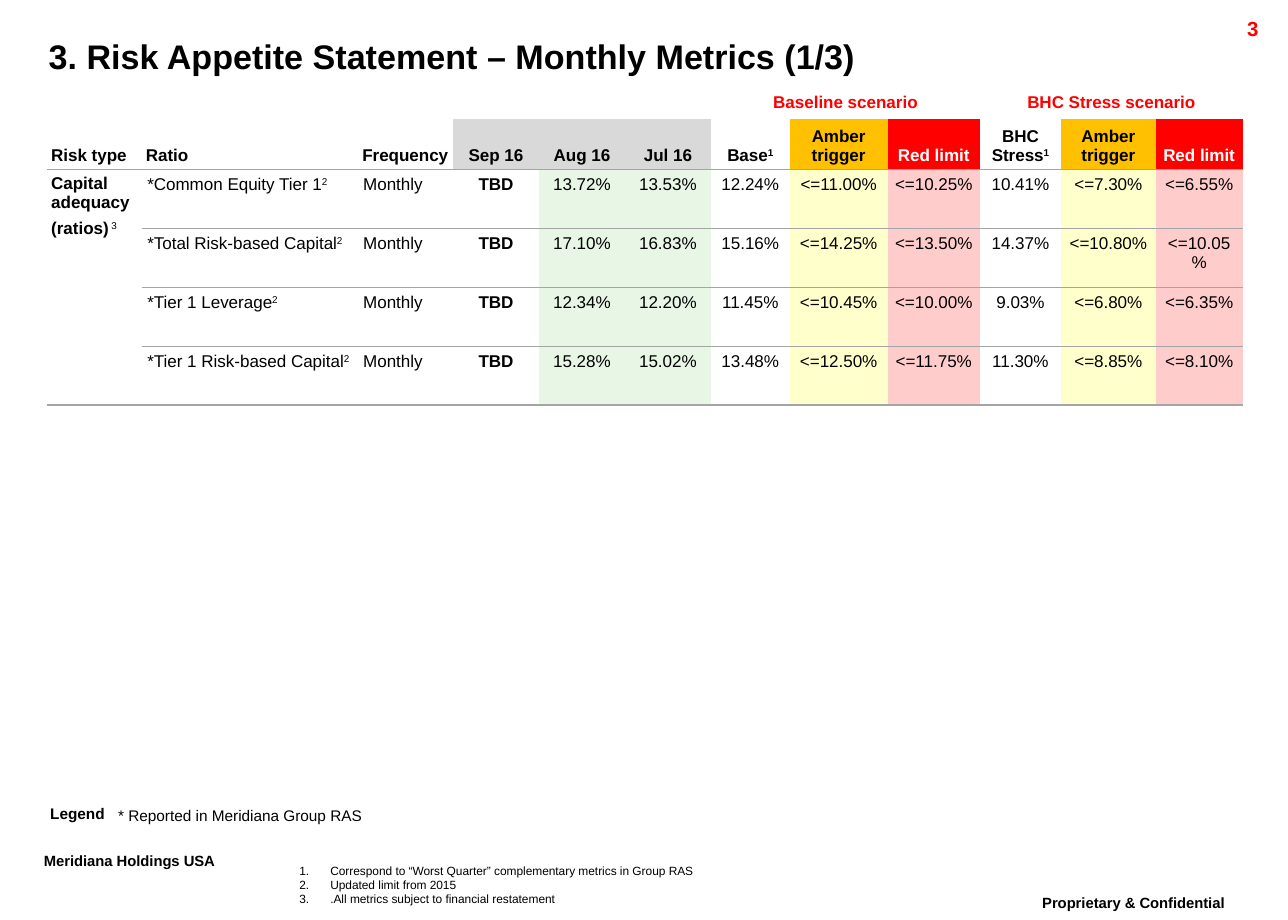
from lxml import etree
from pptx import Presentation
from pptx import util as u
from pptx.dml.color import RGBColor
from pptx.enum import text
from pptx.oxml import ns

BLACK = RGBColor(0x00, 0x00, 0x00)
WHITE = RGBColor(0xFF, 0xFF, 0xFF)
RED = RGBColor(0xFF, 0x00, 0x00)
AMBER = RGBColor(0xFF, 0xC0, 0x00)
HEADER_GREY = RGBColor(0xD9, 0xD9, 0xD9)
RULE_GREY = RGBColor(0xA5, 0xA5, 0xA5)
PALE_GREEN = RGBColor(0xE8, 0xF6, 0xE6)
PALE_YELLOW = RGBColor(0xFF, 0xFF, 0xCC)
PALE_RED = RGBColor(0xFF, 0xCC, 0xCC)

FONT = "Arial"
LEFT, CENTER, RIGHT = text.PP_ALIGN.LEFT, text.PP_ALIGN.CENTER, text.PP_ALIGN.RIGHT
NO_STYLE_NO_GRID = "{2D5ABB26-0587-4C30-8999-92F81FD0307C}"

COLUMN_WIDTHS = [1.96, 4.47, 1.98, 1.78, 1.78, 1.78, 1.63, 2.03, 1.91, 1.68, 1.96, 1.8]
ROW_HEIGHTS = [0.64, 1.04] + [1.22] * 4
SCENARIOS = {6: "Baseline scenario", 9: "BHC Stress scenario"}
HEADINGS = ["Risk type", "Ratio", "Frequency", "Sep 16", "Aug 16", "Jul 16",
            "Base^1", "Amber trigger", "Red limit",
            "BHC Stress^1", "Amber trigger", "Red limit"]
HEADING_FILLS = [None] * 3 + [HEADER_GREY] * 3 + [None, AMBER, RED] * 2
BODY_FILLS = [None] * 4 + [PALE_GREEN] * 2 + [None, PALE_YELLOW, PALE_RED] * 2
METRICS = [
    ("*Common Equity Tier 1^2", "Monthly", "TBD", "13.72%", "13.53%", "12.24%",
     "<=11.00%", "<=10.25%", "10.41%", "<=7.30%", "<=6.55%"),
    ("*Total Risk-based Capital^2", "Monthly", "TBD", "17.10%", "16.83%", "15.16%",
     "<=14.25%", "<=13.50%", "14.37%", "<=10.80%", "<=10.05%"),
    ("*Tier 1 Leverage^2", "Monthly", "TBD", "12.34%", "12.20%", "11.45%",
     "<=10.45%", "<=10.00%", "9.03%", "<=6.80%", "<=6.35%"),
    ("*Tier 1 Risk-based Capital^2", "Monthly", "TBD", "15.28%", "15.02%", "13.48%",
     "<=12.50%", "<=11.75%", "11.30%", "<=8.85%", "<=8.10%"),
]
FOOTNOTES = ["Correspond to “Worst Quarter” complementary metrics in Group RAS",
             "Updated limit from 2015",
             ".All metrics subject to financial restatement"]


def write(frame, *lines, size=10, color=BLACK, bold=False, raised_bold=None,
          align=LEFT, spacing=None, gap=0, numbered=False):
    """Fill a text frame, one paragraph a line; what follows ^ is superscript."""
    for index, line in enumerate(lines):
        paragraph = frame.paragraphs[0] if index == 0 else frame.add_paragraph()
        paragraph.alignment = align
        paragraph.space_before = paragraph.space_after = u.Pt(gap)
        if spacing:
            paragraph.line_spacing = spacing
        if numbered:
            add_number(paragraph)
        for part, words in enumerate(line.split("^")):
            if not words:
                continue
            run = paragraph.add_run()
            run.text = words
            font = run.font
            font.name, font.size, font.bold = FONT, u.Pt(size), bold
            font.color.rgb = color
            if part:
                font._element.set("baseline", "30000")
                if raised_bold is not None:
                    font.bold = raised_bold


def add_number(paragraph):
    properties = paragraph._p.get_or_add_pPr()
    indent = u.Cm(0.64)
    properties.set("marL", str(indent))
    properties.set("indent", str(-indent))
    etree.SubElement(properties, ns.qn("a:buFont"), typeface="+mj-lt")
    etree.SubElement(properties, ns.qn("a:buAutoNum"), type="arabicPeriod")


def add_label(slide, left, top, width, height, *lines, inset=True, **style):
    frame = slide.shapes.add_textbox(u.Cm(left), u.Cm(top), u.Cm(width), u.Cm(height)).text_frame
    frame.word_wrap = True
    if not inset:
        frame.margin_left = frame.margin_right = frame.margin_top = frame.margin_bottom = 0
    write(frame, *lines, **style)


def rule_below(cell):
    line = etree.SubElement(cell._tc.get_or_add_tcPr(), ns.qn("a:lnB"), w=str(u.Pt(1)))
    fill = etree.SubElement(line, ns.qn("a:solidFill"))
    etree.SubElement(fill, ns.qn("a:srgbClr"), val=str(RULE_GREY))


def fill_cell(cell, *lines, fill=None, margin=0.09, ruled=True,
              anchor=text.MSO_ANCHOR.TOP, **style):
    cell.margin_left = cell.margin_right = u.Cm(margin)
    cell.margin_top = cell.margin_bottom = u.Cm(margin)
    cell.vertical_anchor = anchor
    if ruled:
        rule_below(cell)
    if fill is None:
        cell.fill.background()
    else:
        cell.fill.solid()
        cell.fill.fore_color.rgb = fill
    if lines:
        write(cell.text_frame, *lines, **style)
    else:
        etree.SubElement(cell.text_frame.paragraphs[0]._p, ns.qn("a:endParaRPr"), sz="1000")


def add_metrics_table(slide):
    table = slide.shapes.add_table(
        len(ROW_HEIGHTS), len(COLUMN_WIDTHS), u.Cm(0.97), u.Cm(1.83),
        u.Cm(sum(COLUMN_WIDTHS)), u.Cm(sum(ROW_HEIGHTS))).table
    table.first_row = table.horz_banding = False
    table._tbl.tblPr.find(ns.qn("a:tableStyleId")).text = NO_STYLE_NO_GRID
    for column, width in zip(table.columns, COLUMN_WIDTHS):
        column.width = u.Cm(width)
    for row, height in zip(table.rows, ROW_HEIGHTS):
        row.height = u.Cm(height)

    for col, heading in enumerate(HEADINGS):
        scenario = [SCENARIOS[col]] if col in SCENARIOS else []
        fill_cell(table.cell(0, col), *scenario, ruled=False, color=RED, bold=True, align=CENTER)
        fill = HEADING_FILLS[col]
        fill_cell(table.cell(1, col), heading, fill=fill, bold=True,
                  anchor=text.MSO_ANCHOR.BOTTOM, color=WHITE if fill == RED else BLACK,
                  align=LEFT if col < 2 else CENTER)
    for col in SCENARIOS:
        table.cell(0, col).merge(table.cell(0, col + 2))

    last = len(ROW_HEIGHTS) - 1
    for row, metric in enumerate(METRICS, start=2):
        risk_type = ["Capital adequacy", "(ratios)^ 3"] if row == 2 else []
        fill_cell(table.cell(row, 0), *risk_type, ruled=row in (2, last),
                  bold=True, raised_bold=False, gap=2)
        for col, value in enumerate(metric, start=1):
            fill_cell(table.cell(row, col), value, fill=BODY_FILLS[col], margin=0.12,
                      bold=value == "TBD", align=LEFT if col < 3 else CENTER)
    table.cell(2, 0).merge(table.cell(last, 0))


def main():
    deck = Presentation()
    deck.slide_width, deck.slide_height = u.Cm(26.67), u.Cm(19.05)
    slide = deck.slides.add_slide(deck.slide_layouts[6])

    add_label(slide, 20.7, 18.42, 5.54, 0.89, "^Proprietary & Confidential",
              size=15, bold=True, align=CENTER, spacing=0.86)
    add_label(slide, 0.66, 17.55, 5.5, 0.89, "^Meridiana Holdings USA",
              size=15, bold=True, spacing=0.86)
    add_label(slide, 23.77, 0.28, 2.54, 0.61, "3",
              size=12, color=RED, bold=True, align=RIGHT, spacing=0.86)
    add_metrics_table(slide)
    add_label(slide, 6.2, 17.88, 13.89, 1, *FOOTNOTES, inset=False, size=7, numbered=True)
    add_label(slide, 2.39, 16.74, 5.16, 0.33, "* Reported in Meridiana Group RAS",
              inset=False, size=9, align=CENTER, spacing=0.86)
    add_label(slide, 1.04, 16.71, 1.65, 0.33, "Legend",
              inset=False, size=9, bold=True, spacing=0.86)
    add_label(slide, 0.76, 0.74, 24.94, 0.99,
              "3. Risk Appetite Statement – Monthly Metrics (1/3)",
              size=20, bold=True, spacing=0.86)
    deck.save("out.pptx")


if __name__ == "__main__":
    main()
